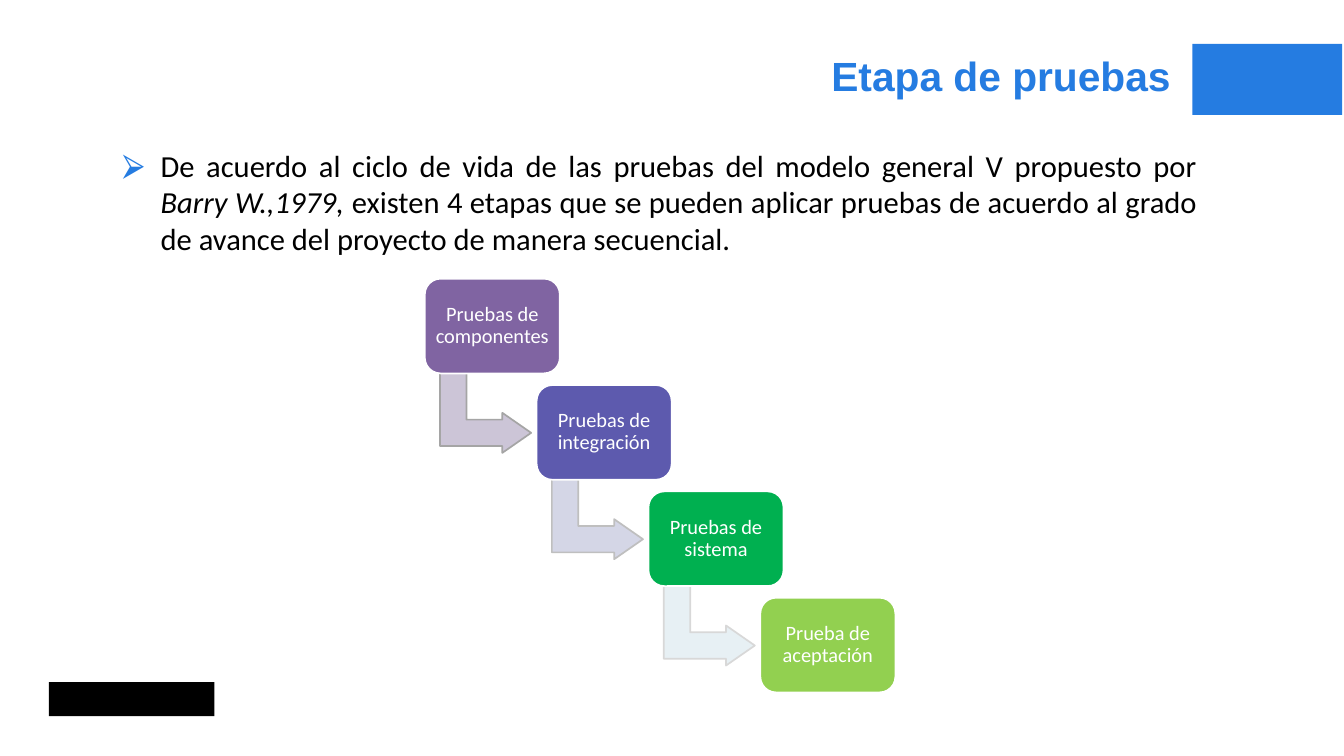
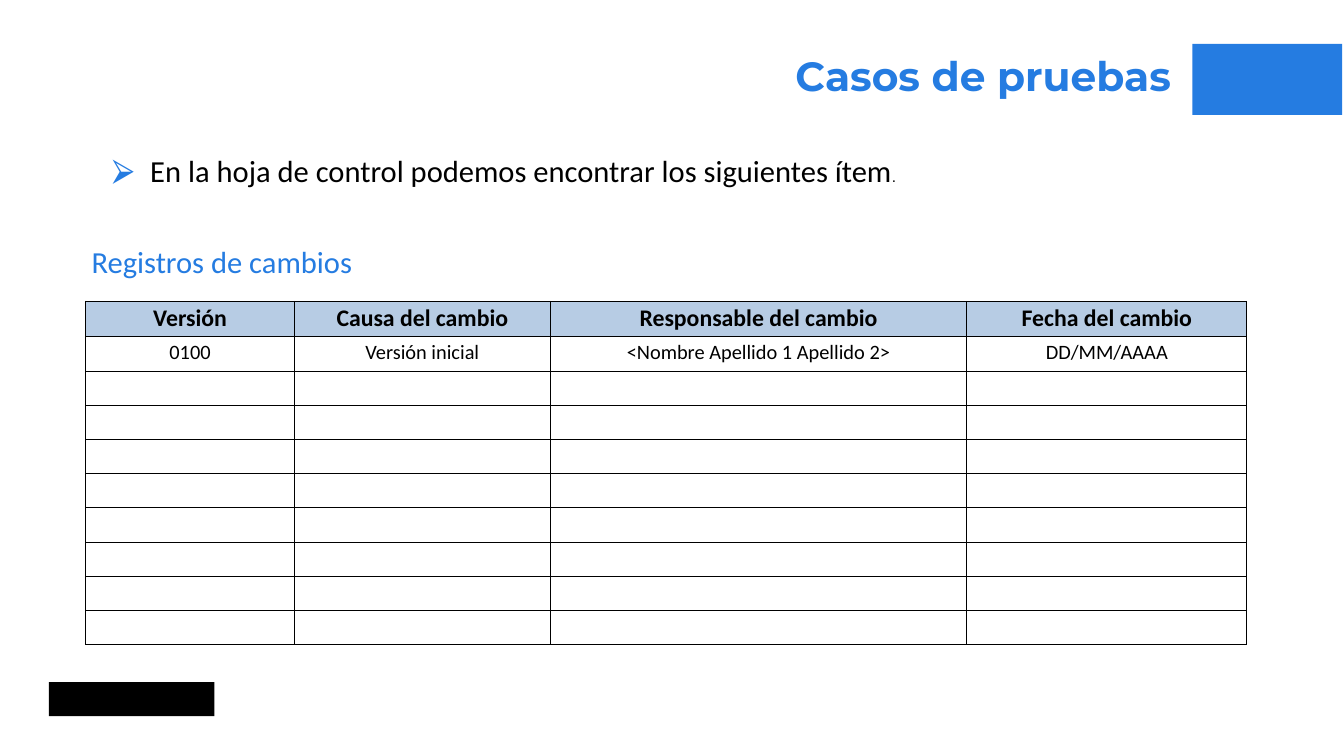
import pptx
import pptx.dml.color
import pptx.enum.shapes
import pptx.enum.text
import pptx.oxml.ns
import pptx.util
from lxml import etree

PX = 9144  # 100 px to the inch
BLUE, BLACK, WHITE = "257CE1", "000000", "FFFFFF"
HEADER_FILL = "B7CCE4"
BODY_FONT = "Calibri"
TITLE_ONLY = 5

ALIGN = pptx.enum.text.PP_ALIGN
ANCHOR = pptx.enum.text.MSO_ANCHOR
PRESET = pptx.enum.shapes.MSO_SHAPE

STAGES = [  # text, box fill, arrow fill, arrow line
    ("Pruebas de componentes", "8064A2", "CCC5D7", "A5A5A5"),
    ("Pruebas de integración", "5D5AAE", "D4D6E6", "BFBFBF"),
    ("Pruebas de sistema", "00B050", "E7F0F4", "D8D8D8"),
    ("Prueba de aceptación", "92D050", None, None),
]
CHANGE_HEADERS = ["Versión", "Causa del cambio", "Responsable del cambio", "Fecha del cambio"]
FIRST_CHANGE = ["0100", "Versión inicial", "<Nombre Apellido 1 Apellido 2>", "DD/MM/AAAA"]
CHANGE_COLUMNS = [342, 418, 682, 458]
EMPTY_ROWS = 8


def px(*lengths):
    return [pptx.util.Emu(length * PX) for length in lengths]


def paint(color_format, color):
    color_format.rgb = pptx.dml.color.RGBColor.from_string(color)


def fill_solid(item, color):
    item.fill.solid()
    paint(item.fill.fore_color, color)


def add_child(parent, tag, **attributes):
    return etree.SubElement(parent, pptx.oxml.ns.qn(tag), attributes)


def add_run(para, text, size, color=BLACK, font=BODY_FONT, bold=False, italic=False):
    span = para.add_run()
    span.text = text
    span.font.size = pptx.util.Pt(size)
    span.font.name = font
    span.font.bold = bold
    span.font.italic = italic
    paint(span.font.color, color)


def set_frame(frame, side, top, anchor=ANCHOR.TOP):
    """Set the insets and anchor of a wrapping text frame; return its first paragraph."""
    frame.word_wrap = True
    frame.auto_size = pptx.enum.text.MSO_AUTO_SIZE.NONE
    frame.margin_left, frame.margin_right, frame.margin_top, frame.margin_bottom = px(
        side, side, top, top)
    frame.vertical_anchor = anchor
    return frame.paragraphs[0]


def add_preset(page, preset, box, fill, line=None):
    shape = page.shapes.add_shape(preset, *px(*box))
    shape.shadow.inherit = False
    fill_solid(shape, fill)
    if line:
        paint(shape.line.color, line)
        shape.line.width = pptx.util.Pt(2)
    else:
        shape.line.fill.background()
    return shape


def add_page(deck, title, title_font):
    page = deck.slides.add_slide(deck.slide_layouts[TITLE_ONLY])
    add_preset(page, PRESET.RECTANGLE, (80, 1116, 271, 56), BLACK)
    add_preset(page, PRESET.RECTANGLE, (1951, 72, 245, 116), BLUE)
    heading = page.shapes.title
    heading.left, heading.top, heading.width, heading.height = px(80, 83, 1836, 81)
    para = set_frame(heading.text_frame, 0, 0)
    para.alignment = ALIGN.RIGHT
    add_run(para, title, 48, BLUE, title_font, bold=True)
    return page


def add_text(page, box):
    return set_frame(page.shapes.add_textbox(*px(*box)).text_frame, 10, 5)


def add_bullet(para):
    properties = para._p.get_or_add_pPr()
    indent = 62 * PX
    properties.set("marL", str(indent))
    properties.set("indent", str(-indent))
    add_child(add_child(properties, "a:buClr"), "a:srgbClr", val=BLUE)
    add_child(properties, "a:buFont", typeface="Arial")
    add_child(properties, "a:buChar", char="⮚")


def add_staircase(page, left, top):
    """Place the stages as steps going down to the right, joined by bent arrows."""
    step_x, step_y = 183, 174
    for index, (text, fill, arrow_fill, arrow_line) in enumerate(STAGES):
        x, y = left + index * step_x, top + index * step_y
        if arrow_fill:
            arrow = add_preset(page, PRESET.BENT_UP_ARROW, (x + 34, y + 145, 131, 149),
                               arrow_fill, arrow_line)
            arrow.rotation = 90
            for position, value in enumerate((0.33, 0.25, 0.36)):
                arrow.adjustments[position] = value
        stage = add_preset(page, PRESET.ROUNDED_RECTANGLE, (x, y, 221, 155), fill, WHITE)
        para = set_frame(stage.text_frame, 10, 10, ANCHOR.MIDDLE)
        para.alignment = ALIGN.CENTER
        para.line_spacing = 0.9
        add_run(para, text, 24, WHITE)


def format_cell(cell, fill):
    properties = cell._tc.get_or_add_tcPr()
    for side in ("a:lnL", "a:lnR", "a:lnT", "a:lnB"):
        border = add_child(properties, side, w=str(pptx.util.Pt(1)))
        add_child(add_child(border, "a:solidFill"), "a:srgbClr", val=BLACK)
    fill_solid(cell, fill)


def add_change_table(page, left, top):
    header_height, row_height = 58, 56
    rows = [CHANGE_HEADERS, FIRST_CHANGE] + [[""] * len(CHANGE_COLUMNS)] * EMPTY_ROWS
    height = header_height + row_height * (len(rows) - 1)
    table = page.shapes.add_table(len(rows), len(CHANGE_COLUMNS),
                                  *px(left, top, sum(CHANGE_COLUMNS), height)).table
    table.first_row = table.horz_banding = False
    for column, width in zip(table.columns, px(*CHANGE_COLUMNS)):
        column.width = width
    for index, texts in enumerate(rows):
        is_header = index == 0
        table.rows[index].height = px(header_height if is_header else row_height)[0]
        for cell, text in zip(table.rows[index].cells, texts):
            format_cell(cell, HEADER_FILL if is_header else WHITE)
            if text:
                para = cell.text_frame.paragraphs[0]
                para.alignment = ALIGN.CENTER
                add_run(para, text, 28 if is_header else 24, bold=is_header)


def build_stages_page(deck):
    page = add_page(deck, "Etapa de pruebas", "Arial")
    para = add_text(page, (191, 235, 1778, 192))
    para.alignment = ALIGN.JUSTIFY
    add_bullet(para)
    add_run(para, "De acuerdo al ciclo de vida de las pruebas del modelo general V propuesto por ", 36)
    add_run(para, "Barry W.,1979, ", 36, italic=True)
    add_run(para, "existen 4 etapas que se pueden aplicar pruebas de acuerdo al grado "
                  "de avance del proyecto de manera secuencial.", 36)
    add_staircase(page, 695, 456)


def build_changes_page(deck):
    page = add_page(deck, "Casos de pruebas", "Montserrat")
    para = add_text(page, (174, 243, 1320, 71))
    add_bullet(para)
    add_run(para, "En la hoja de control podemos encontrar los siguientes ítem", 36)
    add_run(para, ".", 18, font="Arial")
    add_change_table(page, 140, 493)
    add_run(add_text(page, (140, 393, 453, 71)), "Registros de cambios", 36, BLUE)


def main():
    deck = pptx.Presentation()
    deck.slide_width, deck.slide_height = px(2199, 1237)
    build_stages_page(deck)
    build_changes_page(deck)
    deck.save("out.pptx")


if __name__ == "__main__":
    main()
